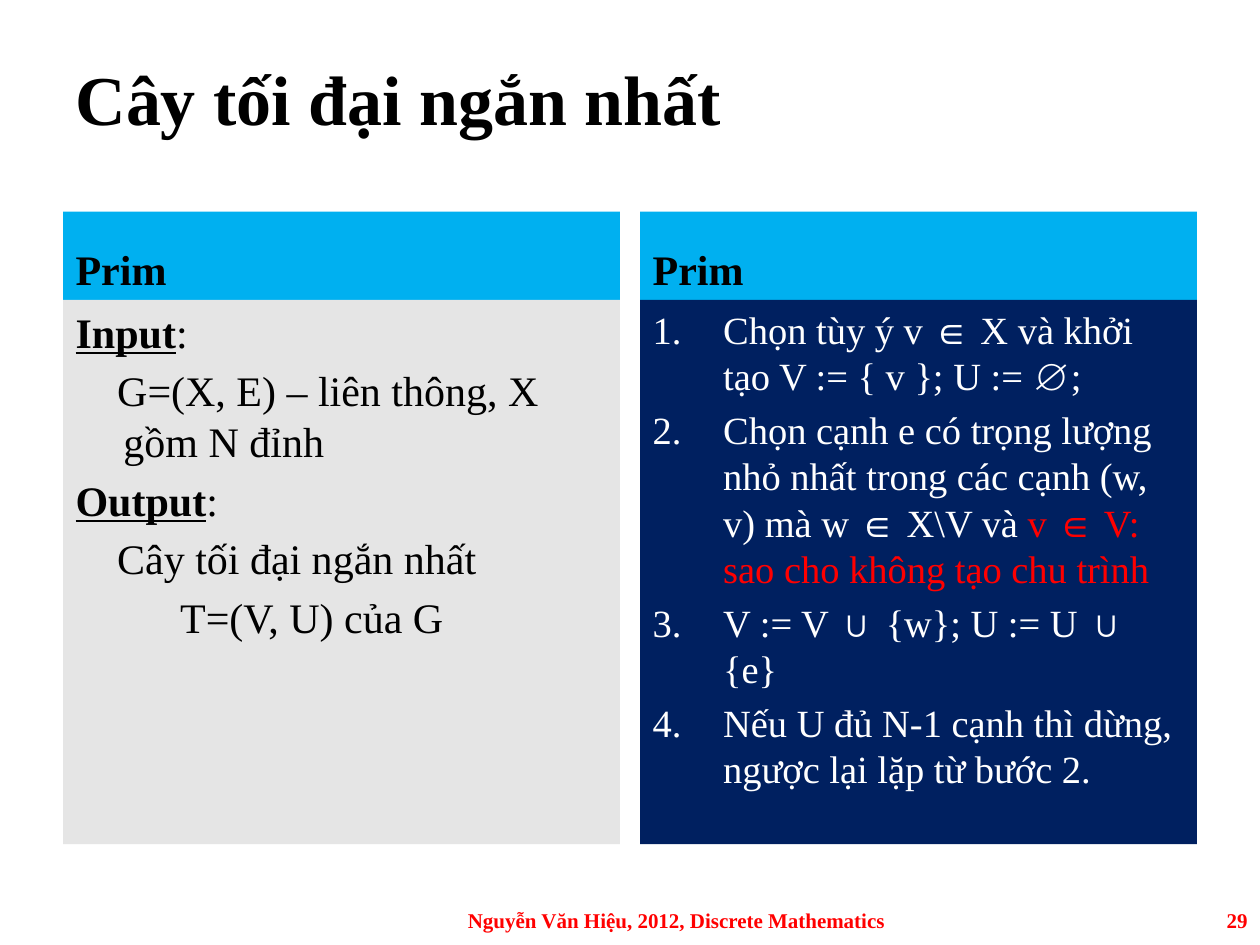
from pptx import Presentation
from pptx.dml.color import RGBColor
from pptx.enum.text import MSO_ANCHOR as Anchor, MSO_AUTO_SIZE as Fit, PP_ALIGN as Align
from pptx.oxml.xmlchemy import OxmlElement as Node
from pptx.util import Inches, Pt

FACE = "Times New Roman"
BLACK, WHITE, RED = "000000", "FFFFFF", "FF0000"
SKY, GREY, NAVY = "00B0F0", "E5E5E5", "002060"


def tint(color, code):
    """Set a colour from a hex string."""
    color.rgb = RGBColor.from_string(code)


def style(font, size, code, bold=False):
    """Set face, size, colour and weight of a font."""
    font.name, font.size, font.bold = FACE, Pt(size), bold
    tint(font.color, code)


def place(shape, box, anchor, fill=None):
    """Move a shape to its box and return its text frame."""
    shape.left, shape.top, shape.width, shape.height = map(Inches, box)
    if fill:
        shape.fill.solid()
        tint(shape.fill.fore_color, fill)
    frame = shape.text_frame
    frame.word_wrap, frame.auto_size = True, Fit.NONE
    frame.vertical_anchor = anchor
    return frame


def label(shape, box, text, size, code, anchor, align=Align.LEFT, fill=None):
    """Put one bold line in a box."""
    frame = place(shape, box, anchor, fill)
    frame.text = text
    para = frame.paragraphs[0]
    para.alignment = align
    style(para.font, size, code, True)


def indent(para, left, first, number=False):
    """Set the indents of a paragraph and its number, if any."""
    props = para._p.get_or_add_pPr()
    props.set("marL", str(Inches(left)))
    props.set("indent", str(Inches(first)))
    if number:
        tone = Node("a:buClr")
        shade = Node("a:srgbClr")
        shade.set("val", WHITE)
        tone.append(shade)
        face = Node("a:buFont")
        face.set("typeface", "+mj-lt")
        mark = Node("a:buAutoNum")
        mark.set("type", "arabicPeriod")
        props.extend([tone, face, mark])
    else:
        props.append(Node("a:buNone"))


def rows(frame, items):
    """Yield a paragraph for each item."""
    for i, item in enumerate(items):
        yield (frame.add_paragraph() if i else frame.paragraphs[0]), item


def panel(head, body, box, title, fill):
    """Place a heading over its body and return the body's frame."""
    left, top, width, height = box
    bar = 0.7
    label(head, (left, top, width, bar), title, 24, BLACK, Anchor.BOTTOM, fill=SKY)
    return place(body, (left, top + bar, width, height - bar), Anchor.TOP, fill)


def terms(frame, items):
    """Write the input and output, each as a heading or an indented line."""
    for para, (text, left, first) in rows(frame, items):
        indent(para, left, first)
        para.space_before = Pt(4.8 if text != "Input" else 0)
        style(para.font, 24, BLACK)
        run = para.add_run()
        run.text = text
        if not left:
            run.font.bold = run.font.underline = True
            para.add_run().text = ":"


def steps(frame, items):
    """Write the numbered steps, the second part of each in red."""
    for i, (para, parts) in enumerate(rows(frame, items)):
        indent(para, 0.56, -0.56, True)
        para.space_before = Pt(4.4 if i else 0)
        style(para.font, 22, WHITE)
        for j, text in enumerate(parts):
            run = para.add_run()
            run.text = text
            if j:
                tint(run.font.color, RED)


def footer(slide, box):
    """Place the credit and the page number."""
    left, top, width, height = box
    for shift, wide, text, align in (
        (0, 4.08, "Nguyễn Văn Hiệu, 2012, Discrete Mathematics", Align.CENTER),
        (width - 2.33, 2.33, "29", Align.RIGHT),
    ):
        area = (left + shift, top, wide, height)
        shape = slide.shapes.add_textbox(*map(Inches, area))
        label(shape, area, text, 12, RED, Anchor.MIDDLE, align)


def main():
    """Build the slide and save it."""
    deck = Presentation()
    deck.slide_width, deck.slide_height = Inches(10), Inches(7.5)
    slide = deck.slides.add_slide(deck.slide_layouts[4])
    title, head, body, head2, body2 = slide.placeholders
    label(title, (0.5, 0.3, 9, 0.95), "Cây tối đại ngắn nhất", 40, BLACK, Anchor.MIDDLE)
    terms(panel(head, body, (0.5, 1.68, 4.42, 5.02), "Prim", GREY), [
        ("Input", 0, 0),
        ("G=(X, E) – liên thông, X gồm N đỉnh", 0.38, -0.05),
        ("Output", 0, 0),
        ("Cây tối đại ngắn nhất", 0.33, 0),
        ("T=(V, U) của G", 0.83, 0),
    ])
    steps(panel(head2, body2, (5.08, 1.68, 4.42, 5.02), "Prim", NAVY), [
        ("Chọn tùy ý v ∈ X và khởi tạo V := { v }; U := ∅;",),
        ("Chọn cạnh e có trọng lượng nhỏ nhất trong các cạnh (w, v) mà w ∈ X\\V và ",
         "v ∈ V: sao cho không tạo chu trình"),
        ("V := V ∪ {w}; U := U ∪ {e}",),
        ("Nếu U đủ N-1 cạnh thì dừng, ngược lại lặp từ bước 2.",),
    ])
    footer(slide, (3.33, 7.1, 6.67, 0.4))
    deck.save("out.pptx")


if __name__ == "__main__":
    main()
